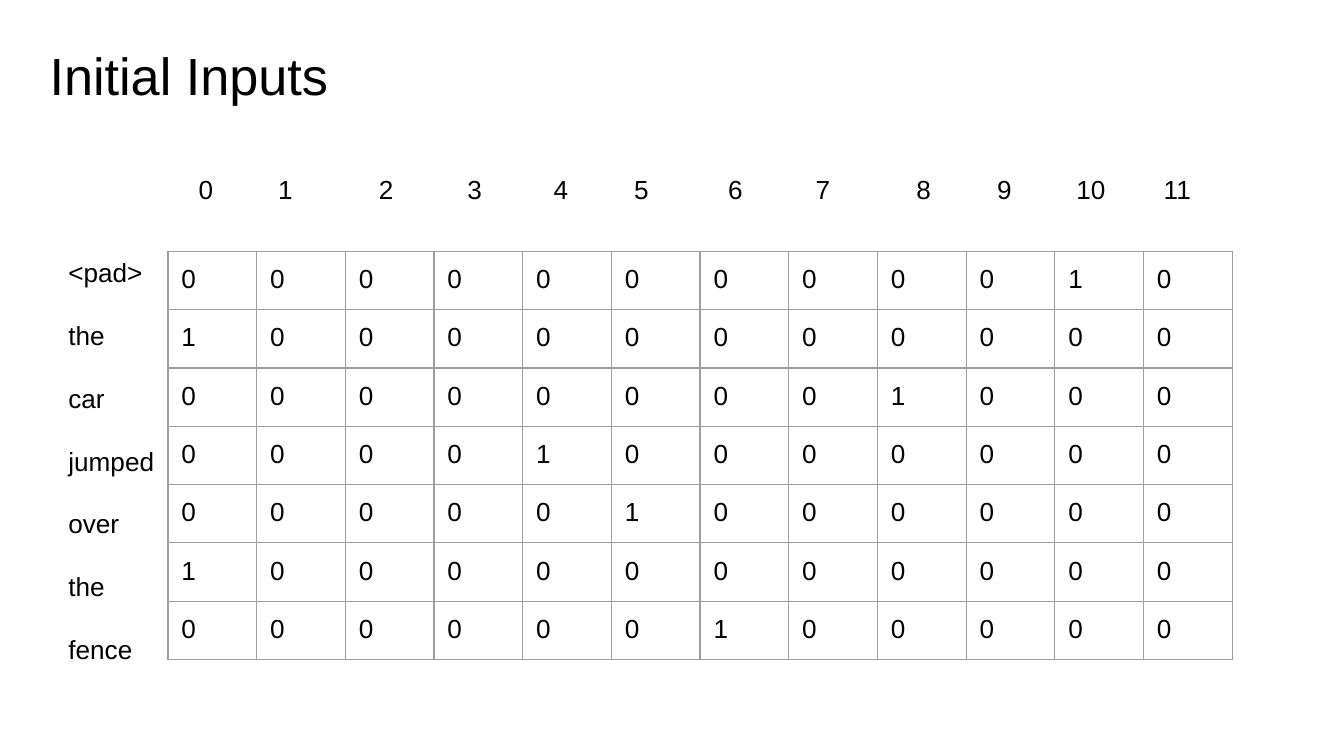
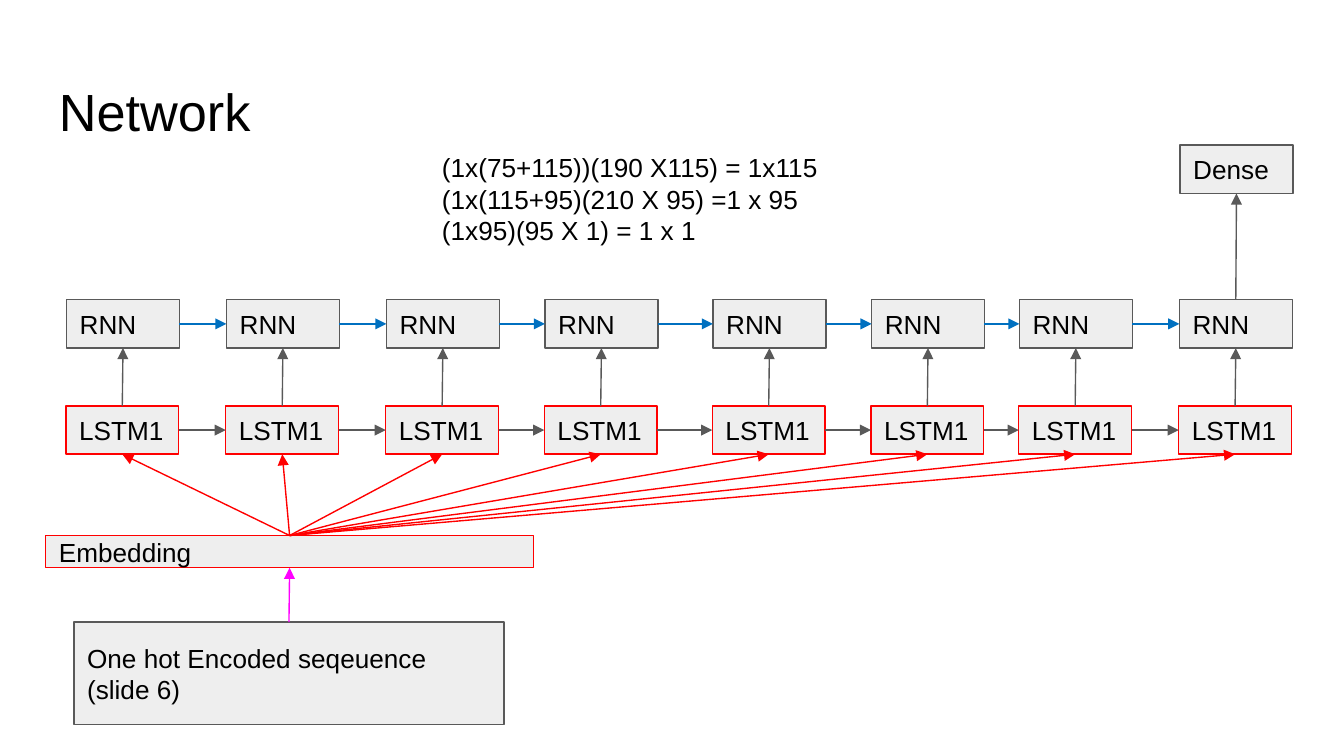
"""Build two slides: one-hot initial inputs and the recurrent network they feed."""
from dataclasses import dataclass

import lxml.etree
import pptx
import pptx.dml.color
import pptx.enum.shapes
import pptx.enum.text
import pptx.oxml
import pptx.oxml.ns
import pptx.util


@dataclass(frozen=True)
class Theme:
    font: str = "Arial"
    title: int = 28
    body: int = 14
    stroke: float = 0.75
    ink: str = "000000"
    panel: str = "EEEEEE"
    gray: str = "595959"
    grid: str = "9E9E9E"
    red: str = "FF0000"
    blue: str = "0070C0"
    magenta: str = "FF00FF"


theme = Theme()
RGB = pptx.dml.color.RGBColor.from_string
qn = pptx.oxml.ns.qn
prs = pptx.Presentation()
prs.slide_width = pptx.util.Inches(10)
prs.slide_height = pptx.util.Inches(5.625)
U = prs.slide_width / 100
TOP, LEFT, BOTTOM, RIGHT = range(4)


def box(s, x, y, w, h, text, line=None, size=theme.body, pad=1):
    """Add text at a grid place, inside a panel when a line colour is given."""
    at = [round(v * U) for v in (x, y, w, h)]
    if line:
        sp = s.shapes.add_shape(pptx.enum.shapes.MSO_SHAPE.RECTANGLE, *at)
        sp.shadow.inherit = False
        sp.fill.solid()
        sp.fill.fore_color.rgb = RGB(theme.panel)
        sp.line.color.rgb = RGB(line)
        sp.line.width = pptx.util.Pt(theme.stroke)
    else:
        sp = s.shapes.add_textbox(*at)
    tf = sp.text_frame
    tf.word_wrap = True
    tf.margin_left = tf.margin_right = round(U)
    tf.margin_top = tf.margin_bottom = round(pad * U)
    anchor = pptx.enum.text.MSO_ANCHOR
    tf.vertical_anchor = anchor.MIDDLE if line else anchor.TOP
    tf.text = text
    for p in tf.paragraphs:
        p.alignment = pptx.enum.text.PP_ALIGN.LEFT
        for r in p.runs:
            r.font.name = theme.font
            r.font.size = pptx.util.Pt(size)
            r.font.color.rgb = RGB(theme.ink)
    return sp


def arrow(s, start, start_side, end, end_side, color):
    """Connect two shapes with a straight arrow."""
    c = s.shapes.add_connector(pptx.enum.shapes.MSO_CONNECTOR.STRAIGHT, 0, 0, 0, 0)
    c.begin_connect(start, start_side)
    c.end_connect(end, end_side)
    c.line.color.rgb = RGB(color)
    c.line.width = pptx.util.Pt(theme.stroke)
    lxml.etree.SubElement(c.line._get_or_add_ln(), qn("a:tailEnd"), type="triangle")
    lxml.etree.SubElement(c._element.spPr, qn("a:effectLst"))


s = prs.slides.add_slide(prs.slide_layouts[6])
box(s, 2.7, 2.2, 93.2, 6.3, "Initial Inputs", size=theme.title)

words = ["<pad>", "the", "car", "jumped", "over", "the", "fence"]
hot_columns = [10, 0, 8, 4, 5, 0, 6]
column_count = 12
cell_w, cell_h = 6.6, 4.18
frame = s.shapes.add_table(
    len(words), column_count, round(12.5 * U), round(18.7 * U),
    round(column_count * cell_w * U), round(len(words) * cell_h * U))
table = frame.table
table.first_row = table.horz_banding = False
for column in table.columns:
    column.width = round(cell_w * U)
for row, hot in zip(table.rows, hot_columns):
    row.height = round(cell_h * U)
    for i, cell in enumerate(row.cells):
        cell.margin_left = cell.margin_right = round(U)
        cell.margin_top = cell.margin_bottom = round(U)
        cell.fill.background()
        cell.text_frame.text = "1" if i == hot else "0"
        r = cell.text_frame.paragraphs[0].runs[0]
        r.font.name = theme.font
        r.font.size = pptx.util.Pt(theme.body)
        r.font.color.rgb = RGB(theme.ink)
        tcPr = cell._tc.get_or_add_tcPr()
        for place, side in enumerate(("a:lnL", "a:lnR", "a:lnT", "a:lnB")):
            ln = lxml.etree.Element(qn(side), w=str(pptx.util.Pt(theme.stroke)))
            fill = lxml.etree.SubElement(ln, qn("a:solidFill"))
            lxml.etree.SubElement(fill, qn("a:srgbClr"), val=theme.grid)
            tcPr.insert(place, ln)

sp = box(s, 4.1, 18.1, 59.1, 6.9, "\n".join(words))
for p in sp.text_frame.paragraphs:
    p.space_after = pptx.util.Pt(16.8)

sp = box(s, 13.8, 11.9, 79.2, 6.9, "\t".join(str(i) for i in range(column_count)))
pPr = sp.text_frame.paragraphs[0]._p.get_or_add_pPr()
tabs = lxml.etree.SubElement(pPr, qn("a:tabLst"))
for stop in (5.9, 13.4, 20, 26.4, 32.4, 39.4, 45.9, 53.4, 59.4, 65.3, 71.8):
    lxml.etree.SubElement(tabs, qn("a:tab"), pos=str(round(stop * U)), algn="l")

s = prs.slides.add_slide(prs.slide_layouts[6])
box(s, 3.4, 4.9, 93.2, 6.3, "Network", size=theme.title)

node_w, node_h = 8.4, 3.6
node_lefts = (4.9, 16.8, 28.7, 40.5, 53, 64.8, 75.8, 87.7)
lstms = [box(s, x, 30.2, node_w, node_h, "LSTM1", theme.red) for x in node_lefts]
rnns = [box(s, x + 0.05, 22.3, node_w, node_h, "RNN", theme.gray) for x in node_lefts]
sequence = box(s, 5.5, 46.3, 32, 7.6, "One hot Encoded seqeuence (slide 6)", theme.gray)
embedding = box(s, 3.4, 39.85, 36.3, 2.4, "Embedding", theme.red)
dense = box(s, 87.8, 10.8, node_w, node_h, "Dense", theme.gray)

for nodes, color in ((lstms, theme.gray), (rnns, theme.blue)):
    for node, following in zip(nodes, nodes[1:]):
        arrow(s, node, RIGHT, following, LEFT, color)
for lstm, rnn in zip(lstms, rnns):
    arrow(s, lstm, TOP, rnn, BOTTOM, theme.gray)
    arrow(s, embedding, TOP, lstm, BOTTOM, theme.red)
arrow(s, rnns[-1], TOP, dense, BOTTOM, theme.gray)
arrow(s, sequence, TOP, embedding, BOTTOM, theme.magenta)

formulas = ["(1x(75+115))(190 X115) = 1x115", "(1x(115+95)(210 X 95) =1 x 95", "(1x95)(95 X 1) = 1 x 1"]
sp = box(s, 31.9, 10.8, 30.5, 8.1, "\n".join(formulas), pad=0.5)
sp.text_frame.word_wrap = False
sp.text_frame.auto_size = pptx.enum.text.MSO_AUTO_SIZE.SHAPE_TO_FIT_TEXT

prs.save("out.pptx")
